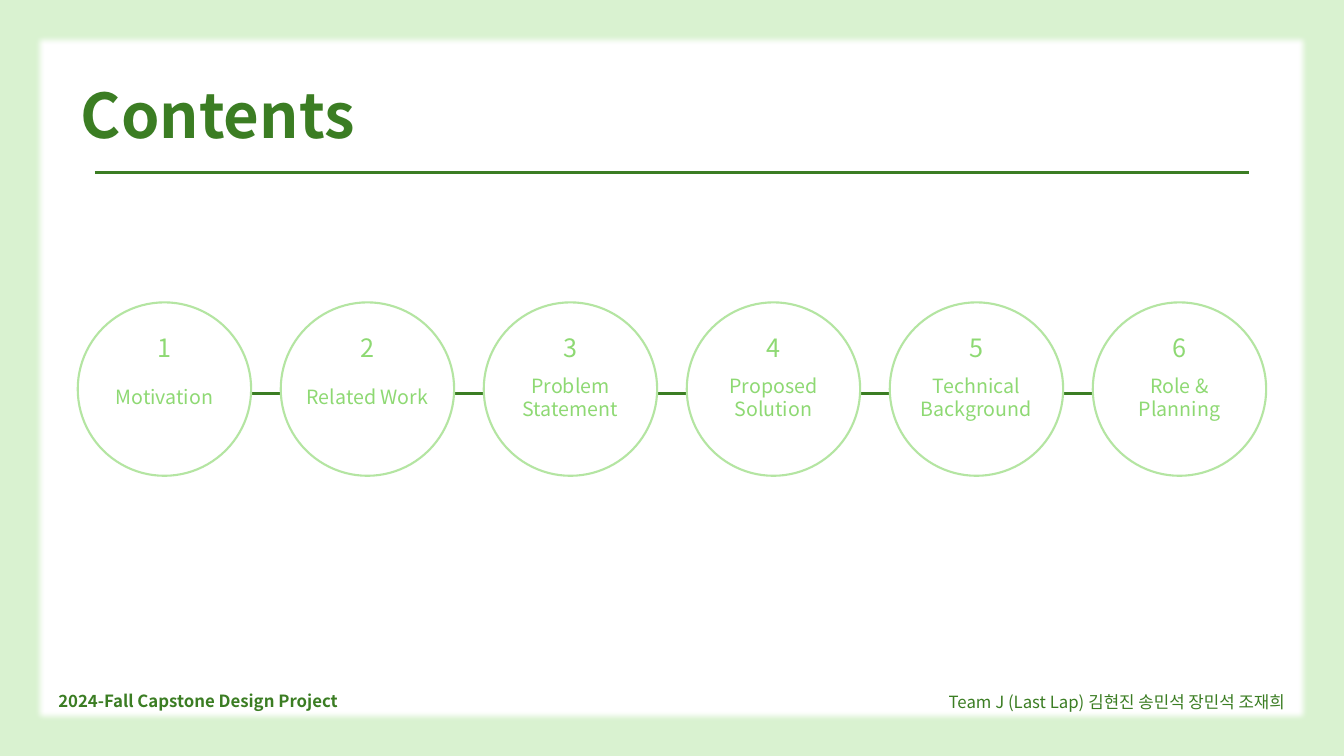
from lxml import etree
from pptx import Presentation
from pptx import util as u
from pptx.dml.color import RGBColor
from pptx.enum import shapes, text
from pptx.oxml.ns import qn

FONT = "Noto Sans CJK KR"
DARK, LIGHT, RING = "3B7D23", "8ED973", "B4E5A2"
WHITE, MINT = "FFFFFF", "D9F2D0"
TOPICS = [
    ["Motivation"],
    ["Related Work"],
    ["Problem", "Statement"],
    ["Proposed", "Solution"],
    ["Technical", "Background"],
    ["Role &", "Planning"],
]


def rgb(value):
    return RGBColor.from_string(value)


def place(sp, box):
    sp.left, sp.top, sp.width, sp.height = (u.Cm(n) for n in box)


def write(sp, lines, size, color, align, bold=False, spacing=1.0,
          anchor=text.MSO_ANCHOR.TOP):
    tf = sp.text_frame
    tf.word_wrap = True
    tf.auto_size = text.MSO_AUTO_SIZE.NONE
    tf.vertical_anchor = anchor
    for i, line in enumerate(lines):
        p = tf.paragraphs[0] if i == 0 else tf.add_paragraph()
        p.alignment = align
        p.line_spacing = spacing
        p.space_before = u.Pt(0)
        r = p.add_run()
        r.text = line
        r.font.size = u.Pt(size)
        r.font.name = FONT
        r.font.bold = bold
        r.font.color.rgb = rgb(color)
        etree.SubElement(r.font._element, qn("a:ea"), typeface=FONT)


def add_text(parent, box, lines, *args, **kwargs):
    sp = parent.add_textbox(*(u.Cm(n) for n in box))
    write(sp, lines, *args, **kwargs)


def add_rule(s, x, y, width):
    line = s.shapes.add_connector(
        shapes.MSO_CONNECTOR.STRAIGHT, u.Cm(x), u.Cm(y), u.Cm(x + width), u.Cm(y))
    line.line.color.rgb = rgb(DARK)
    line.line.width = u.Pt(2.25)
    etree.SubElement(line._element.spPr, qn("a:effectLst"))


def add_panel(s, box):
    sp = s.shapes.add_shape(shapes.MSO_SHAPE.RECTANGLE, *(u.Cm(n) for n in box))
    sp.fill.solid()
    sp.fill.fore_color.rgb = rgb(WHITE)
    sp.line.fill.background()
    effects = etree.SubElement(sp._element.spPr, qn("a:effectLst"))
    etree.SubElement(effects, qn("a:softEdge"), rad=str(u.Pt(5)))


def add_header(s, box):
    x, y, width, height = box
    place(s.shapes.title, (x, y, 22.02, height))
    write(s.shapes.title, ["Contents"], 44, DARK, text.PP_ALIGN.JUSTIFY,
          bold=True, spacing=0.9)
    add_rule(s, x + 0.61, y + 2.31, width)


def add_footer(s, box):
    x, y, width, height = box
    add_text(s.shapes, (x, y, 14.63, height), ["2024-Fall Capstone Design Project"],
             12, DARK, text.PP_ALIGN.JUSTIFY, bold=True, spacing=0.9)
    team = s.placeholders[1]
    place(team, (x + width - 16.89, y, 16.89, height))
    write(team, ["Team J (Last Lap) 김현진 송민석 장민석 조재희"],
          12, DARK, text.PP_ALIGN.RIGHT, spacing=0.9)


def add_topic(s, box, number, lines):
    x, y, width, height = box
    center = x + width / 2
    group = s.shapes.add_group_shape()
    sp = group.shapes.add_shape(shapes.MSO_SHAPE.OVAL, *(u.Cm(n) for n in box))
    sp.shadow.inherit = False
    sp.fill.solid()
    sp.fill.fore_color.rgb = rgb(WHITE)
    sp.line.color.rgb = rgb(RING)
    sp.line.width = u.Pt(1.5)
    add_text(group.shapes, (center - 2.86, y + 1.66, 5.72, 1.45), lines, 14, LIGHT,
             text.PP_ALIGN.CENTER, anchor=text.MSO_ANCHOR.MIDDLE)
    add_text(group.shapes, (center - 0.81, y + 0.64, 1.63, 1.02), [str(number)],
             18, LIGHT, text.PP_ALIGN.CENTER)


def add_topics(s, box):
    x, y, width, size = box
    add_rule(s, x + 0.2, y + 2.29, 29.08)
    pitch = (width - size) / (len(TOPICS) - 1)
    for i, lines in enumerate(TOPICS):
        add_topic(s, (x + i * pitch, y, size, size), i + 1, lines)


def add_contents_slide(prs):
    s = prs.slides.add_slide(prs.slide_layouts[0])
    s.background.fill.solid()
    s.background.fill.fore_color.rgb = rgb(MINT)
    add_panel(s, (0.84, 0.84, 32.2, 17.4))
    panel = s.shapes[-1]._element
    panel.getparent().insert(2, panel)
    add_header(s, (1.78, 2.03, 29.08, 4.6))
    add_footer(s, (1.22, 17.35, 31.42, 1.02))
    add_topics(s, (1.96, 7.62, 29.95, 4.37))


def main():
    prs = Presentation()
    prs.slide_width, prs.slide_height = u.Cm(33.87), u.Cm(19.05)
    add_contents_slide(prs)
    prs.save("out.pptx")


if __name__ == "__main__":
    main()
